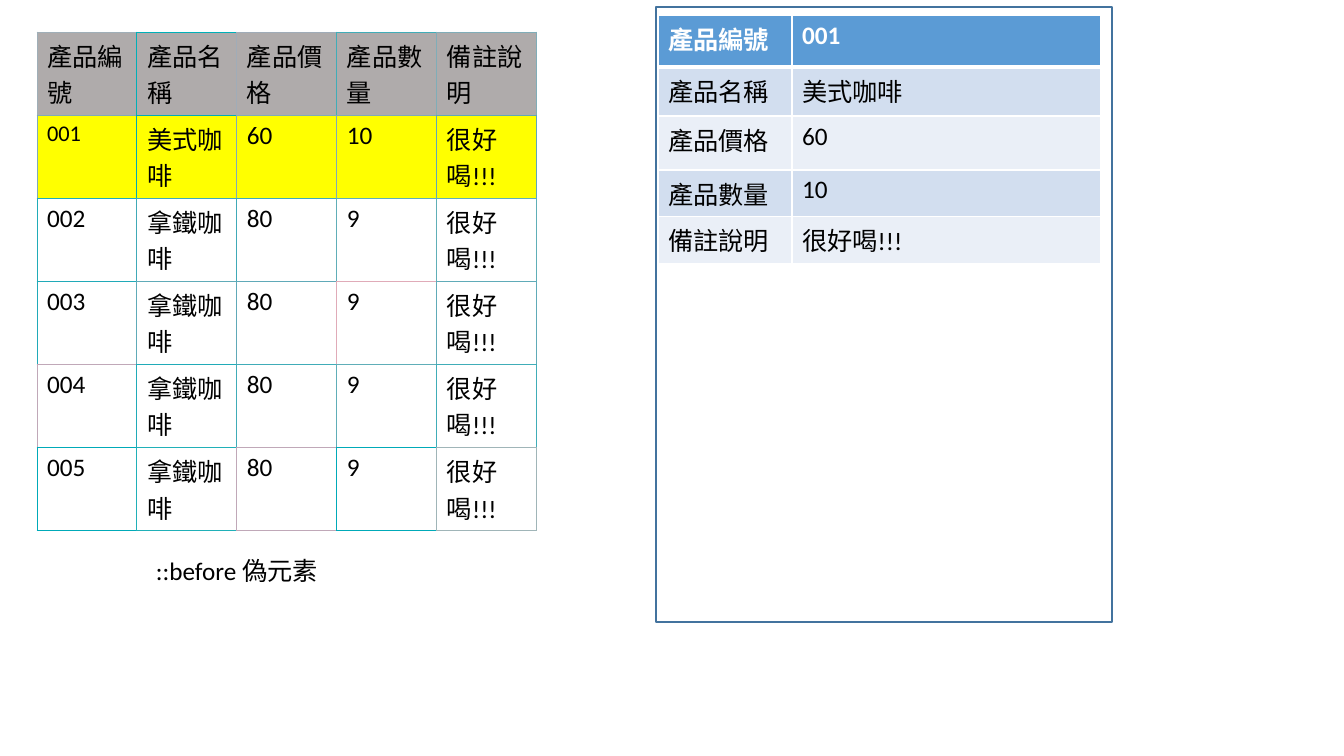
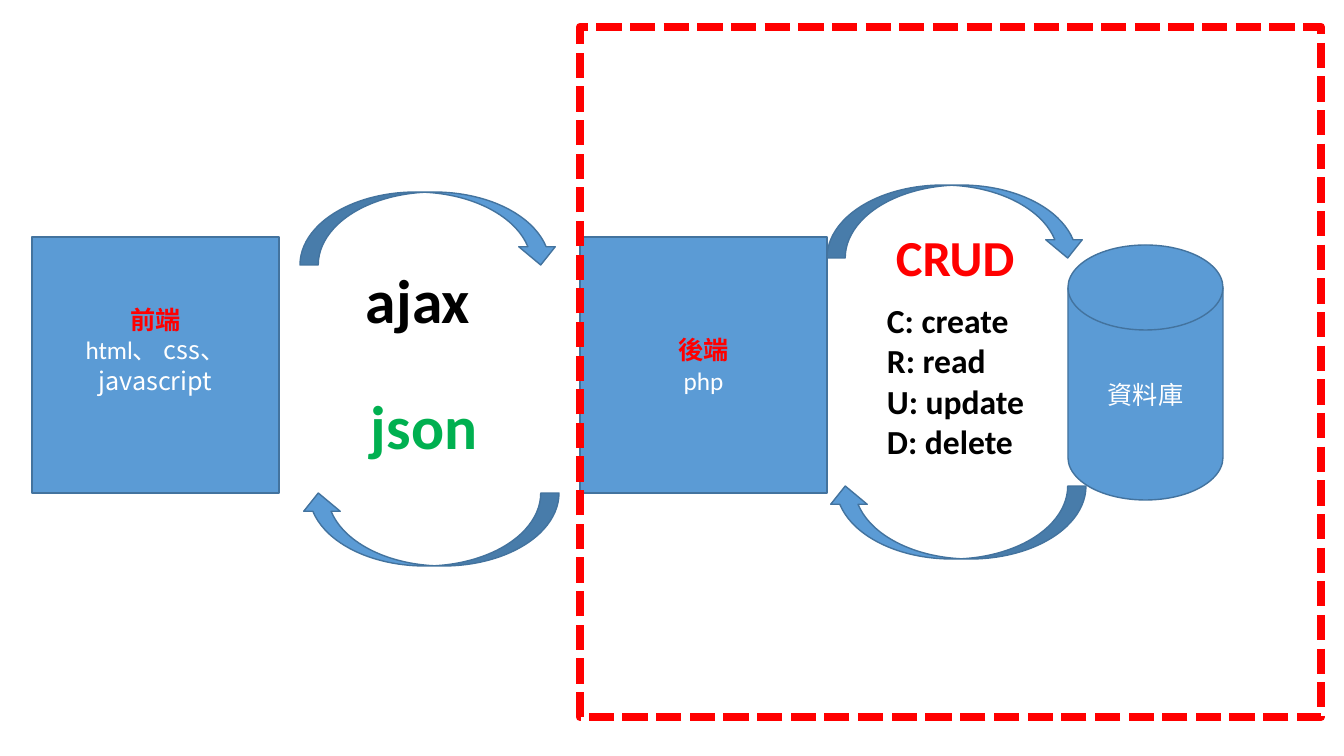
from dataclasses import dataclass

from lxml.etree import SubElement
from pptx import Presentation
from pptx.dml.color import RGBColor
from pptx.enum.dml import MSO_LINE
from pptx.enum.shapes import MSO_SHAPE
from pptx.enum.text import MSO_ANCHOR, MSO_AUTO_SIZE, PP_ALIGN
from pptx.oxml.ns import qn
from pptx.shapes.autoshape import Shape
from pptx.slide import Slide
from pptx.table import Table, _Cell
from pptx.text.text import _Paragraph
from pptx.util import Emu, Pt

EMU_PER_PIXEL = 914400 / 100.8


@dataclass(frozen=True)
class Theme:
    """Colours, fonts and type sizes shared by the slides."""
    latin: str = "Calibri"
    cjk: str = "Noto Sans CJK TC"
    black: str = "000000"
    white: str = "FFFFFF"
    red: str = "FF0000"
    green: str = "00B050"
    blue: str = "5B9BD5"
    outline: str = "43739E"
    gray: str = "AFABAB"
    yellow: str = "FFFF00"
    bands: tuple[str, str] = ("D2DEEF", "EAEFF7")
    small: int = 16
    body: int = 18
    list_size: int = 24
    heading: int = 36
    display: int = 44
    cjk_leading: int = 22


THEME = Theme()


@dataclass(frozen=True)
class Box:
    """A rectangle in pixels."""
    left: int
    top: int
    width: int
    height: int

    def emu(self) -> tuple[Emu, Emu, Emu, Emu]:
        """Return left, top, width and height in EMU."""
        return px(self.left), px(self.top), px(self.width), px(self.height)


@dataclass(frozen=True)
class Line:
    """A paragraph; tail is a last run in the CJK typeface."""
    text: str
    color: str = THEME.black
    size: int = THEME.body
    bold: bool = False
    tail: str = ""


@dataclass(frozen=True)
class Label:
    """A free-standing text box."""
    box: Box
    lines: tuple[Line, ...]
    wrap: bool = False
    leading: int | None = None


@dataclass(frozen=True)
class Tier:
    """A filled shape standing for one tier of the web system."""
    box: Box
    lines: tuple[Line, ...]
    kind: MSO_SHAPE = MSO_SHAPE.RECTANGLE
    bottom_inset: int = 5


@dataclass(frozen=True)
class Border:
    """One edge of a table cell."""
    color: str
    width: float


def px(pixels: int) -> Emu:
    """Turn pixels into EMU."""
    return Emu(round(pixels * EMU_PER_PIXEL))


def rgb(color: str) -> RGBColor:
    """Turn a hex colour into an RGBColor."""
    return RGBColor.from_string(color)


def write_line(paragraph: _Paragraph, line: Line) -> None:
    """Fill and style one paragraph."""
    paragraph.add_run().text = line.text
    font = paragraph.font
    font.name, font.size, font.bold = THEME.latin, Pt(line.size), line.bold
    font.color.rgb = rgb(line.color)
    latin = paragraph._p.pPr.find(qn("a:defRPr")).find(qn("a:latin"))
    east_asian = SubElement(latin.getparent(), qn("a:ea"), typeface=THEME.cjk)
    latin.addnext(east_asian)
    if line.tail:
        tail = paragraph.add_run()
        tail.text = line.tail
        tail.font.name = THEME.cjk


def write_lines(shape: Shape, lines: tuple[Line, ...], align: PP_ALIGN,
                leading: int | None) -> None:
    """Write the paragraphs of a shape."""
    frame = shape.text_frame
    for index, line in enumerate(lines):
        paragraph = frame.add_paragraph() if index else frame.paragraphs[0]
        paragraph.alignment = align
        if leading:
            paragraph.line_spacing = Pt(leading)
        write_line(paragraph, line)


def add_outlined(slide: Slide, kind: MSO_SHAPE, box: Box, fill: str | None = None,
                 outline: str = THEME.outline, width: float = 1) -> Shape:
    """Add a preset shape with an outline and an optional fill."""
    shape = slide.shapes.add_shape(kind, *box.emu())
    shape.shadow.inherit = False
    if fill:
        shape.fill.solid()
        shape.fill.fore_color.rgb = rgb(fill)
    else:
        shape.fill.background()
    shape.line.color.rgb = rgb(outline)
    shape.line.width = Pt(width)
    return shape


def add_label(slide: Slide, label: Label) -> None:
    """Add a text box that grows with its text."""
    shape = slide.shapes.add_textbox(*label.box.emu())
    shape.text_frame.word_wrap = label.wrap
    shape.text_frame.auto_size = MSO_AUTO_SIZE.SHAPE_TO_FIT_TEXT
    write_lines(shape, label.lines, PP_ALIGN.LEFT, label.leading)


def add_tier(slide: Slide, tier: Tier) -> None:
    """Add a blue shape with centred text."""
    shape = add_outlined(slide, tier.kind, tier.box, THEME.blue)
    shape.text_frame.word_wrap = True
    shape.text_frame.vertical_anchor = MSO_ANCHOR.MIDDLE
    shape.text_frame.margin_bottom = px(tier.bottom_inset)
    write_lines(shape, tier.lines, PP_ALIGN.CENTER, THEME.cjk_leading)


def add_exchange(slide: Slide, left: int, top: int) -> None:
    """Add the request arrow and, below it, the reversed reply arrow."""
    for drop, rotation in ((0, 0), (301, 180)):
        arrow = add_outlined(slide, MSO_SHAPE.CURVED_DOWN_ARROW,
                             Box(left, top + drop, 259, 73), THEME.blue)
        arrow.rotation = rotation


def add_grid(slide: Slide, left: int, top: int, widths: list[int],
             heights: list[int]) -> Table:
    """Add a table without banding and size its columns and rows."""
    box = Box(left, top, sum(widths), sum(heights))
    table = slide.shapes.add_table(len(heights), len(widths), *box.emu()).table
    table.first_row = table.horz_banding = False
    for column, width in zip(table.columns, widths):
        column.width = px(width)
    for row, height in zip(table.rows, heights):
        row.height = px(height)
    return table


def fill_cell(cell: _Cell, line: Line, fill: str, borders: dict[str, Border]) -> None:
    """Set the text, fill and edges (L, R, T, B) of a cell."""
    write_line(cell.text_frame.paragraphs[0], line)
    properties = cell._tc.get_or_add_tcPr()
    for side in "LRTB":
        edge = SubElement(properties, qn(f"a:ln{side}"),
                          w=str(Pt(borders[side].width)))
        solid = SubElement(edge, qn("a:solidFill"))
        SubElement(solid, qn("a:srgbClr"), val=borders[side].color)
    cell.fill.solid()
    cell.fill.fore_color.rgb = rgb(fill)


FIELDS = ["產品編號", "產品名稱", "產品價格", "產品數量", "備註說明"]
AMERICANO = ["001", "美式咖啡", "60", "10", "很好喝!!!"]
LATTES = [[f"00{number}", "拿鐵咖啡", "80", "9", "很好喝!!!"] for number in range(2, 6)]
# Red and green of each cell's left and top edge; blue is always B8.
EDGE_TINTS = [row.split() for row in (
    "A0AF 00B0 A0AC 40AD 80AD",
    "80AB 00AA 80AC 80AA 60A8",
    "20AC 40AA 40AA 60AE 60AF",
    "20AA 60AB 60A9 E0AB 60AB",
    "C0A8 20AB 40AC 60AE 40AD",
    "00AA 20B0 C0A8 00AA A0B5",
)]


def product_edge(row: int, column: int) -> Border:
    """Return the edge owned by a cell, held inside the table."""
    last = len(EDGE_TINTS) - 1
    tint = EDGE_TINTS[min(row, last)][min(column, len(FIELDS) - 1)]
    return Border(f"{tint}B8", 0.75)


def add_product_list(slide: Slide) -> None:
    """Add the table of all products; neighbours share their edges."""
    products = [FIELDS, AMERICANO, *LATTES]
    table = add_grid(slide, 37, 32, [100] * len(FIELDS), [71] * len(products))
    fills = [THEME.gray, THEME.yellow] + [THEME.white] * len(LATTES)
    for r, product in enumerate(products):
        for c, text in enumerate(product):
            own = product_edge(r, c)
            borders = {"L": own, "T": own, "R": product_edge(r, c + 1),
                       "B": product_edge(r + 1, c)}
            size = THEME.small if (r, c) == (1, 0) else THEME.body
            fill_cell(table.cell(r, c), Line(text, size=size), fills[r], borders)


def add_product_detail(slide: Slide) -> None:
    """Add the table of the selected product."""
    table = add_grid(slide, 658, 15, [134, 309], [52, 49, 54, 45, 41])
    thin, thick = Border(THEME.white, 1), Border(THEME.white, 3)
    for r, pair in enumerate(zip(FIELDS, AMERICANO)):
        header = r == 0
        fill = THEME.blue if header else THEME.bands[(r - 1) % 2]
        color = THEME.white if header else THEME.black
        borders = {"L": thin, "R": thin, "T": thick if r == 1 else thin,
                   "B": thick if header else thin}
        for c, text in enumerate(pair):
            fill_cell(table.cell(r, c), Line(text, color, bold=header), fill, borders)


def build_products(slide: Slide) -> None:
    """Build the product list with its detail panel."""
    add_product_list(slide)
    add_product_detail(slide)
    add_outlined(slide, MSO_SHAPE.RECTANGLE, Box(656, 7, 456, 615))
    add_label(slide, Label(Box(146, 550, 184, 40), (Line("::before 偽元素"),),
                           wrap=True, leading=THEME.cjk_leading))


def build_architecture(slide: Slide) -> None:
    """Build the front end, back end and database diagram."""
    back_end = Tier(Box(580, 237, 247, 256), (
        Line("後端", THEME.red, bold=True), Line("php", THEME.white)))
    front_end = Tier(Box(32, 237, 247, 256), (
        Line("前端", THEME.red, bold=True),
        Line("html", THEME.white, tail="、 css、javascript")), bottom_inset=36)
    database = Tier(Box(1068, 245, 155, 255), (Line("資料庫", THEME.white),),
                    MSO_SHAPE.FLOWCHART_MAGNETIC_DISK)
    operations = ("C: create", "R: read", "U: update", "D: delete")
    labels = (
        Label(Box(356, 257, 126, 85), (Line("ajax", THEME.black, THEME.display, True),)),
        Label(Box(877, 295, 159, 173), tuple(
            Line(name, THEME.black, THEME.list_size, True) for name in operations)),
        Label(Box(886, 221, 141, 72), (Line("CRUD", THEME.red, THEME.heading, True),)),
        Label(Box(361, 383, 128, 85), (Line("json", THEME.green, THEME.display, True),)),
    )
    add_tier(slide, back_end)
    add_tier(slide, front_end)
    add_exchange(slide, 300, 192)
    add_tier(slide, database)
    add_exchange(slide, 827, 185)
    for label in labels:
        add_label(slide, label)
    server_side = add_outlined(slide, MSO_SHAPE.RECTANGLE, Box(580, 27, 741, 690),
                               outline=THEME.red, width=6)
    server_side.line.dash_style = MSO_LINE.SQUARE_DOT


def main() -> None:
    """Build and save the presentation."""
    deck = Presentation()
    deck.slide_width, deck.slide_height = px(1344), px(756)
    for build in (build_products, build_architecture):
        build(deck.slides.add_slide(deck.slide_layouts[6]))
    deck.save("out.pptx")


main()
